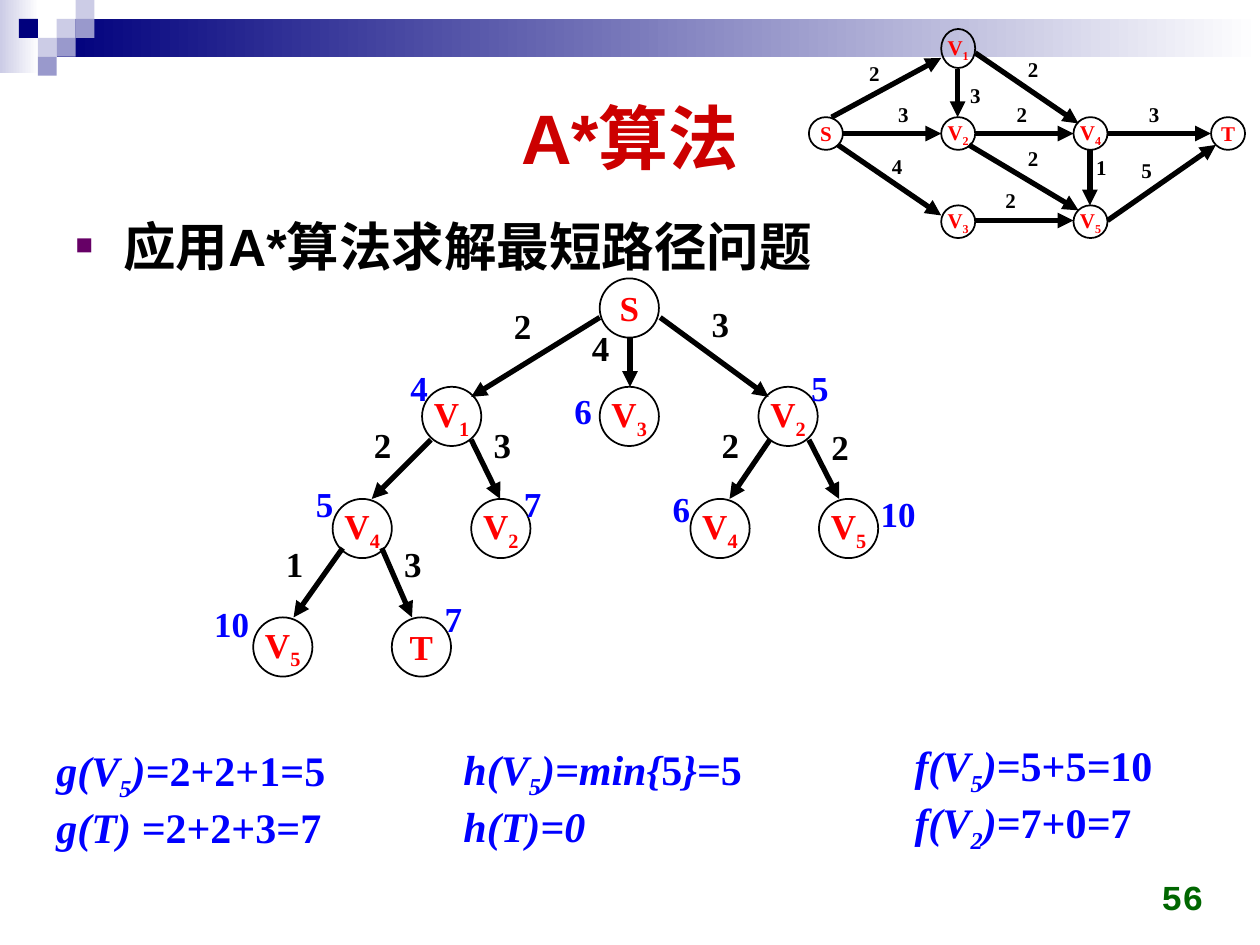
import pptx
import pptx.util
import pptx.dml.color
import pptx.enum.shapes
import pptx.enum.text
import pptx.oxml
import pptx.oxml.ns
from lxml import etree

RGB = pptx.dml.color.RGBColor
BLACK = RGB(0, 0, 0)
WHITE = RGB(255, 255, 255)
RED = RGB(255, 0, 0)
BLUE = RGB(0, 0, 255)
TITLE = RGB(0xCC, 0, 0)
GREEN = RGB(0, 0x66, 0)
NAVY = RGB(0, 0, 0x7D)
LILAC = RGB(0x99, 0x99, 0xCC)
PALE = RGB(0xCC, 0xCC, 0xE6)

KIND = pptx.enum.shapes.MSO_SHAPE
ALIGN = pptx.enum.text.PP_ALIGN
ANCHOR = pptx.enum.text.MSO_ANCHOR
SIZE = pptx.enum.text.MSO_AUTO_SIZE
SERIF = "Times New Roman"
CELL = pptx.util.Inches(0.1)
WIDE, HIGH = 100, 75
SQUARE = 1.5
ROWS = [22.1, 30.7, 39.6, 49]

TREE = [("S", 47.6, 0), ("V1", 33.5, 1), ("V3", 47.6, 1), ("V2", 60.2, 1),
        ("V4", 26.4, 2), ("V2", 37.4, 2), ("V4", 54.8, 2), ("V5", 65, 2),
        ("V5", 20.1, 3), ("T", 31.1, 3)]
BRANCHES = [(47.6, 25.2, 37.4, 31.5), (50, 26.8, 50, 30.7),
            (52.4, 25.2, 61, 31.5), (34.2, 34.9, 29.5, 39.6),
            (37.4, 34.9, 39.7, 39.6), (61.1, 34.9, 57.9, 39.6),
            (64.2, 34.9, 66.6, 39.6), (27.2, 43.5, 23.3, 49),
            (30.3, 43.5, 32.7, 49)]
COSTS = [("2", 39.8, 23.7), ("4", 46, 25.4), ("3", 55.5, 23.5),
         ("2", 28.7, 33.1), ("3", 38.2, 33.1), ("2", 56.3, 33.1),
         ("2", 65, 33.3), ("1", 21.7, 42.6), ("3", 31.1, 42.6)]
SCORES = [("4", 31.6, 28.6), ("6", 44.6, 30.4), ("5", 63.4, 28.6),
          ("5", 24.1, 37.8), ("7", 40.6, 37.8), ("6", 52.4, 38.2),
          ("10", 68.9, 38.6), ("7", 34.3, 46.9), ("10", 16, 47.3)]

GRAPH = [("S", 0, 1), ("V3", 1, 2), ("V2", 1, 1), ("V1", 1, 0),
         ("V4", 2, 1), ("V5", 2, 2), ("T", 3.04, 1)]
EDGES = [(66, 9.3, 74.7, 4.6), (66.9, 10.6, 74.7, 10.6),
         (66.5, 11.5, 74.7, 17.1), (77.4, 4.2, 85.6, 9.8),
         (77.4, 10.6, 85.2, 10.6), (77.4, 17.5, 85.2, 17.5),
         (76.9, 11.5, 85.6, 16.7), (76, 5.5, 76, 9.3),
         (87.9, 10.6, 96.1, 10.6), (86.5, 11.9, 86.5, 16.3),
         (87.9, 17.5, 96.5, 11.5)]
LENGTHS = [("2", 68, 4.3), ("3", 70.3, 7.6), ("4", 69.8, 11.7),
           ("3", 76, 6.1), ("2", 80.6, 4), ("2", 79.7, 7.6),
           ("2", 80.6, 11.1), ("2", 78.8, 14.4), ("3", 90.2, 7.6),
           ("5", 89.6, 12), ("1", 86, 11.8)]

SUMS = [
    (3.5, 58.6, 23.7, [
        [("g(V", "i"), ("5", "is"), (")=", "i"), ("2+2+1=5", "")],
        [("g(T) =", "i"), ("2+2+3=7", "")]]),
    (35.8, 58.5, 24.5, [
        [("h(V", "i"), ("5", "is"), (")=min{", "i"), ("5", ""),
         ("}=", "i"), ("5", "")],
        [("h(T)=0", "i")]]),
    (71.6, 58.2, 21.2, [
        [("f(V", "i"), ("5", "is"), (")=", "i"), ("5+5", ""),
         ("=", "i"), ("10", "")],
        [("f(V", "i"), ("2", "is"), (")=", "i"), ("7+0", ""),
         ("=", "i"), ("7", "")]])]


def grid(*cells):
    return [round(n * CELL) for n in cells]


def add_run(para, text, size, color, face=SERIF, style=""):
    run = para.add_run()
    run.text = text
    font = run.font
    font.name, font.size, font.bold = face, pptx.util.Pt(size), True
    font.color.rgb = color
    font.italic = "i" in style
    if "s" in style:
        font._element.set("baseline", "-25000")


def add_text(slide, box, lines, size, color):
    frame = slide.shapes.add_textbox(*grid(*box)).text_frame
    frame.word_wrap = False
    frame.auto_size = SIZE.SHAPE_TO_FIT_TEXT
    for i, line in enumerate(lines):
        para = frame.add_paragraph() if i else frame.paragraphs[0]
        for text, style in line:
            add_run(para, text, size, color, style=style)


def add_labels(slide, labels, size, color):
    for text, x, y in labels:
        wide = 2 + len(text) * size * 0.07
        high = 1 + size * 0.17
        add_text(slide, (x, y, wide, high), [[(text, "")]], size, color)


def add_node(slide, name, box, size):
    node = slide.shapes.add_shape(KIND.OVAL, *grid(*box))
    node.shadow.inherit = False
    node.fill.background()
    node.line.color.rgb = BLACK
    node.line.width = pptx.util.Pt(1)
    frame = node.text_frame
    frame.word_wrap = False
    frame.vertical_anchor = ANCHOR.MIDDLE
    para = frame.paragraphs[0]
    para.alignment = ALIGN.CENTER
    add_run(para, name[0], size, RED)
    if name[1:]:
        add_run(para, name[1:], size, RED, style="s")


def add_arrow(slide, ends):
    link = slide.shapes.add_connector(
        pptx.enum.shapes.MSO_CONNECTOR.STRAIGHT, *grid(*ends))
    link.line.color.rgb = BLACK
    link.line.width = pptx.util.Pt(3)
    qn = pptx.oxml.ns.qn
    etree.SubElement(link.line._get_or_add_ln(), qn("a:tailEnd"), type="triangle")
    etree.SubElement(link._element.spPr, qn("a:effectLst"))


def add_block(slide, box, color, fade=False):
    block = slide.shapes.add_shape(KIND.RECTANGLE, *grid(*box))
    block.shadow.inherit = False
    block.line.fill.background()
    if fade:
        block.fill.gradient()
        block.fill.gradient_angle = 0
        for stop, tone, place in zip(block.fill.gradient_stops, (color, WHITE), (0, 1)):
            stop.color.rgb, stop.position = tone, place
    else:
        block.fill.solid()
        block.fill.fore_color.rgb = color


def add_band(slide):
    add_block(slide, (0, 0, 3.1, 5.8), PALE, True)
    add_block(slide, (4.5, 1.5, WIDE - 4.5, 3), NAVY, True)
    for col, row, color in [(3, 1, PALE), (4, 0, PALE), (4, 1, LILAC), (2, 2, PALE),
                            (1, 1, NAVY), (3, 2, LILAC), (2, 3, LILAC)]:
        add_block(slide, (col * SQUARE, row * SQUARE, SQUARE, SQUARE), color)


def set_holder(shape, box, anchor):
    shape.left, shape.top, shape.width, shape.height = grid(*box)
    frame = shape.text_frame
    frame.auto_size = SIZE.NONE
    frame.vertical_anchor = anchor
    return frame.paragraphs[0]


def add_heads(slide):
    para = set_holder(slide.shapes.title, (5, 5, 90, 11.6), ANCHOR.MIDDLE)
    para.alignment = ALIGN.CENTER
    add_run(para, "A*算法", 40, TITLE, "Arial")

    para = set_holder(slide.placeholders[1], (5, 16.2, 90, 52), ANCHOR.TOP)
    props = para._p.get_or_add_pPr()
    hang = grid(3.8)[0]
    props.set("marL", str(hang))
    props.set("indent", str(-hang))
    space = pptx.oxml.ns.nsdecls("a")
    for mark in ('<a:buClr %s><a:srgbClr val="660066"/></a:buClr>',
                 '<a:buSzPct %s val="55000"/>',
                 '<a:buFont %s typeface="Arial"/>',
                 '<a:buChar %s char="■"/>'):
        props.append(pptx.oxml.parse_xml(mark % space))
    para.line_spacing = 1.05
    para.space_before = 0
    add_run(para, "应用A*算法求解最短路径问题", 30, BLACK, "Arial")


def add_page(slide):
    box = slide.shapes.add_textbox(*grid(73.2, 68.3, 23.3, 5))
    frame = box.text_frame
    frame.word_wrap = True
    frame.vertical_anchor = ANCHOR.BOTTOM
    para = frame.paragraphs[0]
    para.alignment = ALIGN.RIGHT
    add_run(para, "56", 20, GREEN, "Courier New")


def add_graph(slide):
    for name, col, row in GRAPH:
        high = 2.6 if row else 3.1
        add_node(slide, name, (64.2 + 10.5 * col, 2.3 + 7 * row, 2.7, high), 12)
    for ends in EDGES:
        add_arrow(slide, ends)
    add_labels(slide, LENGTHS, 12, BLACK)


def add_tree(slide):
    for name, x, row in TREE:
        add_node(slide, name, (x, ROWS[row], 4.7, 4.7), 20)
    for ends in BRANCHES:
        add_arrow(slide, ends)
    add_labels(slide, COSTS, 20, BLACK)
    add_labels(slide, SCORES, 20, BLUE)


def main():
    deck = pptx.Presentation()
    deck.slide_width, deck.slide_height = grid(WIDE, HIGH)
    slide = deck.slides.add_slide(deck.slide_layouts[1])
    add_band(slide)
    add_heads(slide)
    add_page(slide)
    add_graph(slide)
    for x, y, wide, lines in SUMS:
        add_text(slide, (x, y, wide, 9.1), lines, 24, BLUE)
    add_tree(slide)
    deck.save("out.pptx")


if __name__ == "__main__":
    main()
